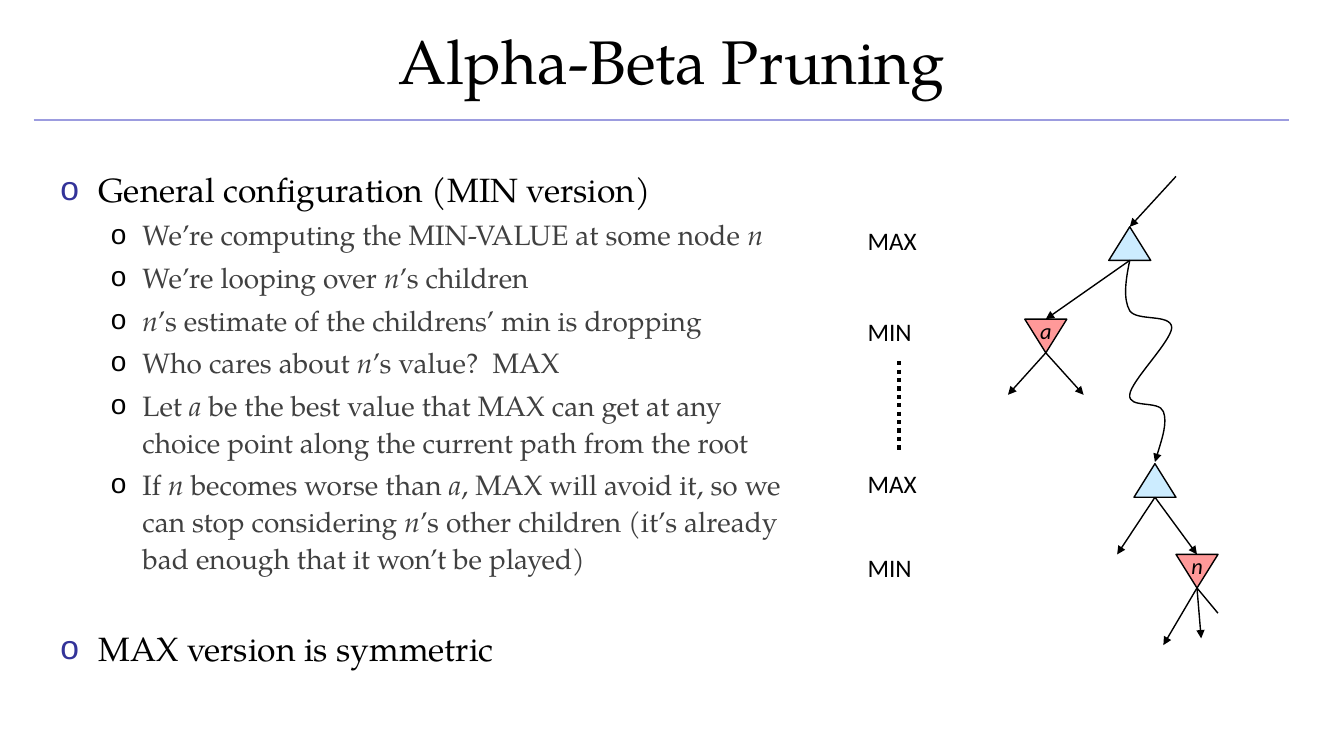
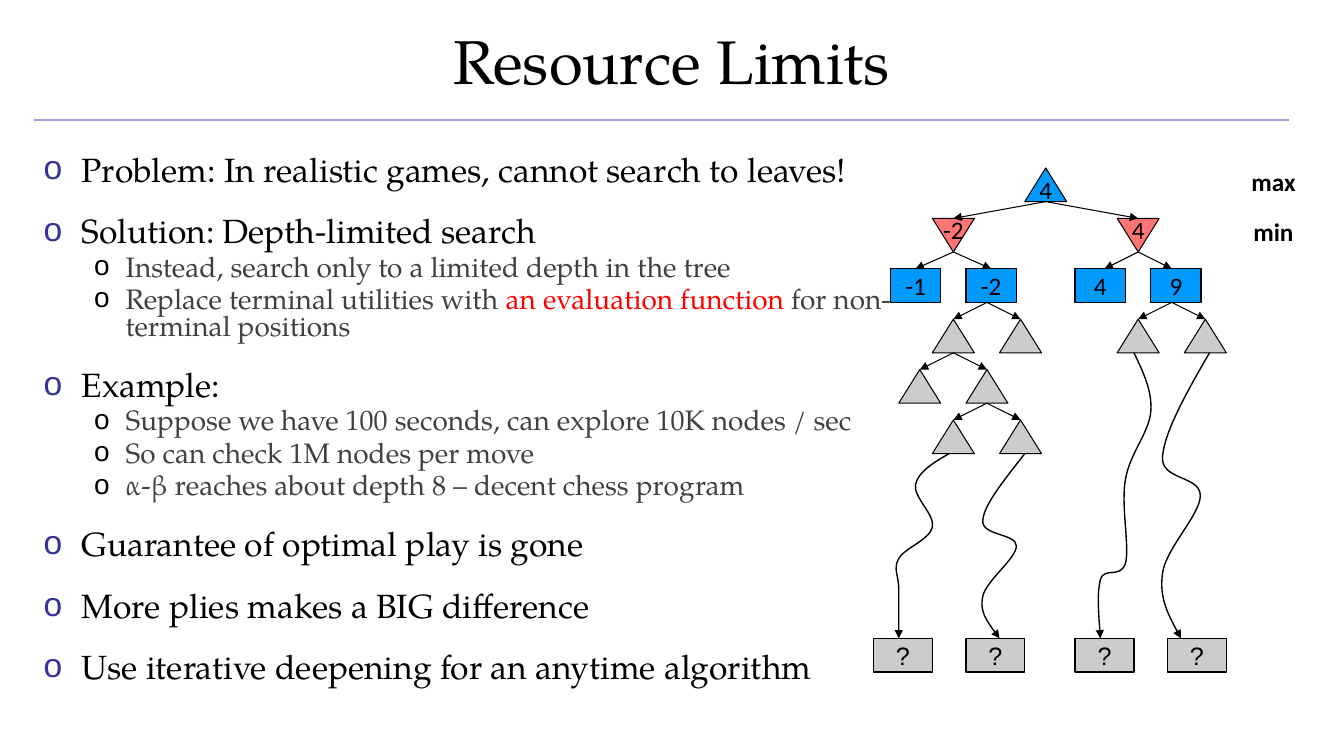
from dataclasses import dataclass
from typing import NamedTuple

from lxml.etree import SubElement
from pptx import Presentation
from pptx.dml.color import RGBColor
from pptx.dml.fill import FillFormat
from pptx.enum.dml import MSO_LINE
from pptx.enum.shapes import MSO_CONNECTOR, MSO_SHAPE
from pptx.enum.text import MSO_ANCHOR, MSO_AUTO_SIZE, PP_ALIGN
from pptx.oxml.ns import qn
from pptx.util import Emu, Inches, Pt

COLUMNS, ROWS = 160, 90
CELL = Inches(1) // 12
SERIF, SANS, PLAIN = "TeX Gyre Pagella", "Calibri", "Arial"
BLACK, GRAY_TEXT, RED_TEXT = "000000", "404040", "FF0000"
RULE, BULLET = "9C9CDF", "333399"
PALE_BLUE, PINK = "CCECFF", "FF9999"
BLUE, CORAL, GRAY = "0099FF", "FF7575", "CCCCCC"
Point = tuple[float, float]


class Kind(NamedTuple):
    preset: MSO_SHAPE
    columns: float
    turn: int = 0
    top_inset: float = 0.05
    anchor: MSO_ANCHOR = MSO_ANCHOR.MIDDLE


UP = Kind(MSO_SHAPE.ISOSCELES_TRIANGLE, 5, 0, 0.2, MSO_ANCHOR.BOTTOM)
DOWN = Kind(MSO_SHAPE.ISOSCELES_TRIANGLE, 5, 180, 0.1)
BOX = Kind(MSO_SHAPE.RECTANGLE, 6)
WIDE_BOX = Kind(MSO_SHAPE.RECTANGLE, 7)
NODE_ROWS = 4


@dataclass(frozen=True)
class Node:
    column: float
    row: float
    kind: Kind
    fill: str
    text: str = ""
    size: int = 18
    italic: bool = False
    font: str = SANS
    weight: float = 1


@dataclass(frozen=True)
class Link:
    begin: Point
    end: Point
    weight: float = 1
    arrow: bool = True
    dotted: bool = False
    color: str = BLACK


@dataclass(frozen=True)
class Label:
    text: str
    column: float
    row: float
    columns: float
    bold: bool = False


@dataclass(frozen=True)
class Item:
    text: str
    level: int = 0
    gap: int = 0


class Fork(NamedTuple):
    column: float
    row: float
    left: float
    right: float


@dataclass(frozen=True)
class Page:
    title: str
    body: tuple[float, float, float, float]
    spacing: float
    emphasis: str
    items: list[Item]
    nodes: list[Node]
    links: list[Link]
    curves: list[list[Point]]
    labels: list[Label]


TITLE_RULE = Link((4, 14.3), (153.4, 14.3), arrow=False, color=RULE)


def grid(cells: float) -> Emu:
    return Emu(round(cells * CELL))


def paint(fill: FillFormat, color: str) -> None:
    fill.solid()
    fill.fore_color.rgb = RGBColor.from_string(color)


def place(shape, column: float, row: float, columns: float, rows: float) -> None:
    shape.left, shape.top = grid(column), grid(row)
    shape.width, shape.height = grid(columns), grid(rows)


def stroke(shape, color: str, weight: float, arrow: bool = False, dotted: bool = False) -> None:
    paint(shape.line.fill, color)
    shape.line.width = Pt(weight)
    if dotted:
        shape.line.dash_style = MSO_LINE.ROUND_DOT
    properties = shape.element.spPr
    if arrow:
        SubElement(properties.find(qn("a:ln")), qn("a:tailEnd"), type="triangle")
    if properties.find(qn("a:effectLst")) is None:
        SubElement(properties, qn("a:effectLst"))


def format_text(frame, font: str, size: int, bold: bool = False, italic: bool = False) -> None:
    for run in frame.paragraphs[0].runs:
        run.font.name, run.font.size = font, Pt(size)
        run.font.bold, run.font.italic = bold, italic
        paint(run.font.fill, BLACK)


def style_level(level, size: int, color: str, bullet: str = "") -> None:
    defaults = level.find(qn("a:defRPr"))
    defaults.set("sz", str(size * 100))
    fill = defaults.find(qn("a:solidFill"))
    fill.clear()
    SubElement(fill, qn("a:srgbClr"), val=color)
    defaults.find(qn("a:latin")).set("typeface", SERIF)
    if bullet:
        bullet_font = level.find(qn("a:buFont"))
        bullet_font.set("typeface", PLAIN)
        bullet_color = SubElement(level, qn("a:buClr"))
        SubElement(bullet_color, qn("a:srgbClr"), val=bullet)
        bullet_font.addprevious(bullet_color)
        level.find(qn("a:buChar")).set("char", "o")


def style_master(presentation, layout) -> None:
    styles = presentation.slide_master.element.find(qn("p:txStyles"))
    title, body = styles.find(qn("p:titleStyle")), styles.find(qn("p:bodyStyle"))
    style_level(title.find(qn("a:lvl1pPr")), 44, BLACK)
    style_level(body.find(qn("a:lvl1pPr")), 24, BLACK, BULLET)
    style_level(body.find(qn("a:lvl2pPr")), 20, GRAY_TEXT, BLACK)
    place(layout.placeholders[0], 0, -0.4, COLUMNS, 15)


def draw_link(slide, link: Link, sites: dict) -> None:
    ends = [grid(value) for value in (*link.begin, *link.end)]
    connector = slide.shapes.add_connector(MSO_CONNECTOR.STRAIGHT, *ends)
    if link.begin in sites:
        connector.begin_connect(*sites[link.begin])
    if link.end in sites:
        connector.end_connect(*sites[link.end])
    stroke(connector, link.color, link.weight, link.arrow, link.dotted)


def draw_curve(slide, points: list[Point]) -> None:
    start, *rest = [(grid(column), grid(row)) for column, row in points]
    builder = slide.shapes.build_freeform(*start, scale=1.0)
    builder.add_line_segments(rest, close=False)
    curve = builder.convert_to_shape()
    curve.shadow.inherit = False
    curve.fill.background()
    outline = next(curve.element.iter(qn("a:path")))
    segments = outline.findall(qn("a:lnTo"))
    for first in range(0, len(segments), 3):
        bezier = SubElement(outline, qn("a:cubicBezTo"))
        for segment in segments[first:first + 3]:
            bezier.append(segment[0])
            outline.remove(segment)
    stroke(curve, BLACK, 1, arrow=True)


def draw_node(slide, node: Node):
    kind = node.kind
    shape = slide.shapes.add_shape(kind.preset, 0, 0, 0, 0)
    place(shape, node.column, node.row, kind.columns, NODE_ROWS)
    shape.rotation = kind.turn
    shape.shadow.inherit = False
    paint(shape.fill, node.fill)
    stroke(shape, BLACK, node.weight)
    if node.text:
        frame = shape.text_frame
        frame.text = node.text
        frame.word_wrap = False
        frame.vertical_anchor = kind.anchor
        frame.margin_top = Inches(kind.top_inset)
        frame.paragraphs[0].alignment = PP_ALIGN.CENTER
        if kind.turn:
            shape.element.txBody.bodyPr.set("rot", str(kind.turn * 60000))
        format_text(frame, node.font, node.size, italic=node.italic)
    return shape


def draw_label(slide, label: Label) -> None:
    box = slide.shapes.add_textbox(0, 0, 0, 0)
    place(box, label.column, label.row, label.columns, 4.8)
    frame = box.text_frame
    frame.text = label.text
    frame.word_wrap = True
    frame.vertical_anchor = MSO_ANCHOR.MIDDLE
    frame.paragraphs[0].alignment = PP_ALIGN.CENTER if label.bold else PP_ALIGN.LEFT
    format_text(frame, SANS, 18, bold=label.bold)


def fill_body(body, page: Page) -> None:
    place(body, *page.body)
    frame = body.text_frame
    frame.text = "\n".join(item.text for item in page.items)
    frame.auto_size = MSO_AUTO_SIZE.NONE
    for paragraph, item in zip(frame.paragraphs, page.items):
        paragraph.level = item.level
        paragraph.line_spacing = page.spacing
        if item.gap:
            paragraph.space_before = Pt(item.gap)
        first, *pieces = item.text.split("*")
        paragraph.text = first
        for index, piece in enumerate(pieces):
            run = paragraph.add_run()
            run.text = piece
            if index % 2 == 0 and page.emphasis == "italic":
                run.font.italic = True
            elif index % 2 == 0:
                paint(run.font.fill, page.emphasis)


def build_page(presentation, layout, page: Page) -> None:
    slide = presentation.slides.add_slide(layout)
    slide.shapes.title.text_frame.text = page.title
    fill_body(slide.placeholders[1], page)
    sites = {}
    for node in page.nodes:
        shape = draw_node(slide, node)
        if node.kind.preset == MSO_SHAPE.RECTANGLE:
            middle = node.column + node.kind.columns / 2
            sites[(middle, node.row)] = (shape, 0)
            sites[(middle, node.row + NODE_ROWS)] = (shape, 2)
    for link in (TITLE_RULE, *page.links):
        draw_link(slide, link, sites)
    for curve in page.curves:
        draw_curve(slide, curve)
    for label in page.labels:
        draw_label(slide, label)


PRUNING = Page(
    "Alpha-Beta Pruning", (6, 19, 90, 59.4), 1.1, "italic",
    [Item("General configuration (MIN version)"),
     Item("We’re computing the MIN-VALUE at some node *n*", 1),
     Item("We’re looping over *n*’s children", 1),
     Item("*n*’s estimate of the childrens’ min is dropping", 1),
     Item("Who cares about *n*’s value?  MAX", 1),
     Item("Let *a* be the best value that MAX can get at any choice point "
          "along the current path from the root", 1),
     Item("If *n* becomes worse than *a*, MAX will avoid it, so we can stop considering "
          "*n*’s other children (it’s already bad enough that it won’t be played)", 1),
     Item("MAX version is symmetric", gap=35)],
    [Node(132, 27, UP, PALE_BLUE), Node(135, 55.2, UP, PALE_BLUE),
     Node(122, 38, DOWN, PINK, "a", 16, True), Node(140, 66, DOWN, PINK, "n", 16, True)],
    [Link((140, 21), (134.5, 27)), Link((134.5, 31), (124.5, 38)),
     *[Link((124.5, 42), (column, 47)) for column in (120, 129)],
     *[Link((137.5, 59.2), (column, 66)) for column in (133, 142.5)],
     *[Link((142.5, 70), end) for end in ((138.5, 76.8), (143, 76))],
     Link((142.5, 70), (145, 73), arrow=False),
     Link((107, 43), (107, 54), 3, arrow=False, dotted=True)],
    [[(134.5, 31), (134, 33.4), (133.7, 35.6), (134.5, 37), (135.4, 38.3), (139.4, 37.3),
      (139.5, 39), (139.4, 40.7), (134.6, 45.4), (134.5, 47), (134.3, 48.7), (138, 47.6),
      (138.5, 49), (139, 50.3), (138.2, 52.7), (137.5, 55)]],
    [Label(text, 102.1, row, 10)
     for text, row in (("MAX", 26.2), ("MIN", 37), ("MAX", 55.2), ("MIN", 65.2))],
)

FORKS = [Fork(124.5, 24, 113.5, 135.5), Fork(113.5, 30, 109, 118), Fork(135.5, 30, 131.5, 139.5),
         Fork(117.5, 36, 113.5, 121.5), Fork(139.5, 36, 135.5, 143.5),
         Fork(113.5, 42, 109.5, 117.5), Fork(117.5, 48, 113.5, 121.5)]
GRAY_CELLS = [(111, 38), (119, 38), (133, 38), (141, 38), (107, 44), (115, 44), (111, 50), (119, 50)]

LIMITS = Page(
    "Resource Limits", (4, 18, 105, 59.4), 0.8, RED_TEXT,
    [Item("Problem: In realistic games, cannot search to leaves!"),
     Item("Solution: Depth-limited search", gap=21),
     Item("Instead, search only to a limited depth in the tree", 1),
     Item("Replace terminal utilities with *an evaluation function *for non-terminal positions", 1),
     Item("Example:", gap=21),
     Item("Suppose we have 100 seconds, can explore 10K nodes / sec", 1),
     Item("So can check 1M nodes per move", 1),
     Item("α-β reaches about depth 8 – decent chess program", 1),
     Item("Guarantee of optimal play is gone", gap=21),
     Item("More plies makes a BIG difference", gap=21),
     Item("Use iterative deepening for an anytime algorithm", gap=21)],
    [Node(122, 20, UP, BLUE, "4", weight=0.75),
     *[Node(column, 26, DOWN, CORAL, text, weight=0.75) for column, text in ((111, "-2"), (133, "4"))],
     *[Node(column, 32, BOX, BLUE, text)
       for column, text in ((106, "-1"), (115, "-2"), (128, "4"), (137, "9"))],
     *[Node(column, row, UP, GRAY, weight=0.75) for column, row in GRAY_CELLS],
     *[Node(column, 76, WIDE_BOX, GRAY, "?", font=PLAIN) for column in (104, 115, 128, 139)]],
    [Link((fork.column, fork.row), (end, fork.row + 2), 0.75)
     for fork in FORKS for end in (fork.left, fork.right)],
    [[(113, 54), (111.1, 55.1), (109.3, 56.2), (109, 57.7), (108.7, 59.2), (111.4, 61.3),
      (111, 62.8), (110.6, 64.3), (107.6, 65.3), (107, 66.5), (106.3, 67.7), (107, 68.5),
      (107, 70.1), (107, 71.8), (107, 73.9), (107, 76)],
     [(122, 54), (119.6, 57.1), (117.1, 60.1), (117, 62), (116.9, 63.8), (121, 63.5), (121, 65),
      (121, 66.5), (117.4, 69.1), (117, 71), (116.6, 72.8), (117.8, 74.4), (119, 76)],
     [(144, 42), (141.2, 46.8), (138.6, 51.5), (138.4, 54.4), (138.2, 57.2), (142.9, 56.6), (142.9, 59),
      (142.9, 61.3), (138.7, 65.4), (138.4, 68.3), (138, 71.2), (139.3, 73.6), (140.6, 76)],
     [(135, 42), (136.1, 44.3), (137.2, 46.6), (137, 49), (136.8, 51.5), (134.5, 54),
      (134, 57), (133.4, 60), (134.5, 65), (134, 67), (133.4, 69), (131.5, 67.4),
      (131, 69), (130.6, 70.6), (130.8, 73.2), (131, 76)]],
    [Label(text, 147.2, row, 8.8, True) for text, row in (("max", 19.2), ("min", 25.2))],
)


def main() -> None:
    presentation = Presentation()
    presentation.slide_width, presentation.slide_height = grid(COLUMNS), grid(ROWS)
    layout = presentation.slide_layouts[1]
    style_master(presentation, layout)
    for page in (PRUNING, LIMITS):
        build_page(presentation, layout, page)
    presentation.save("out.pptx")


if __name__ == "__main__":
    main()
